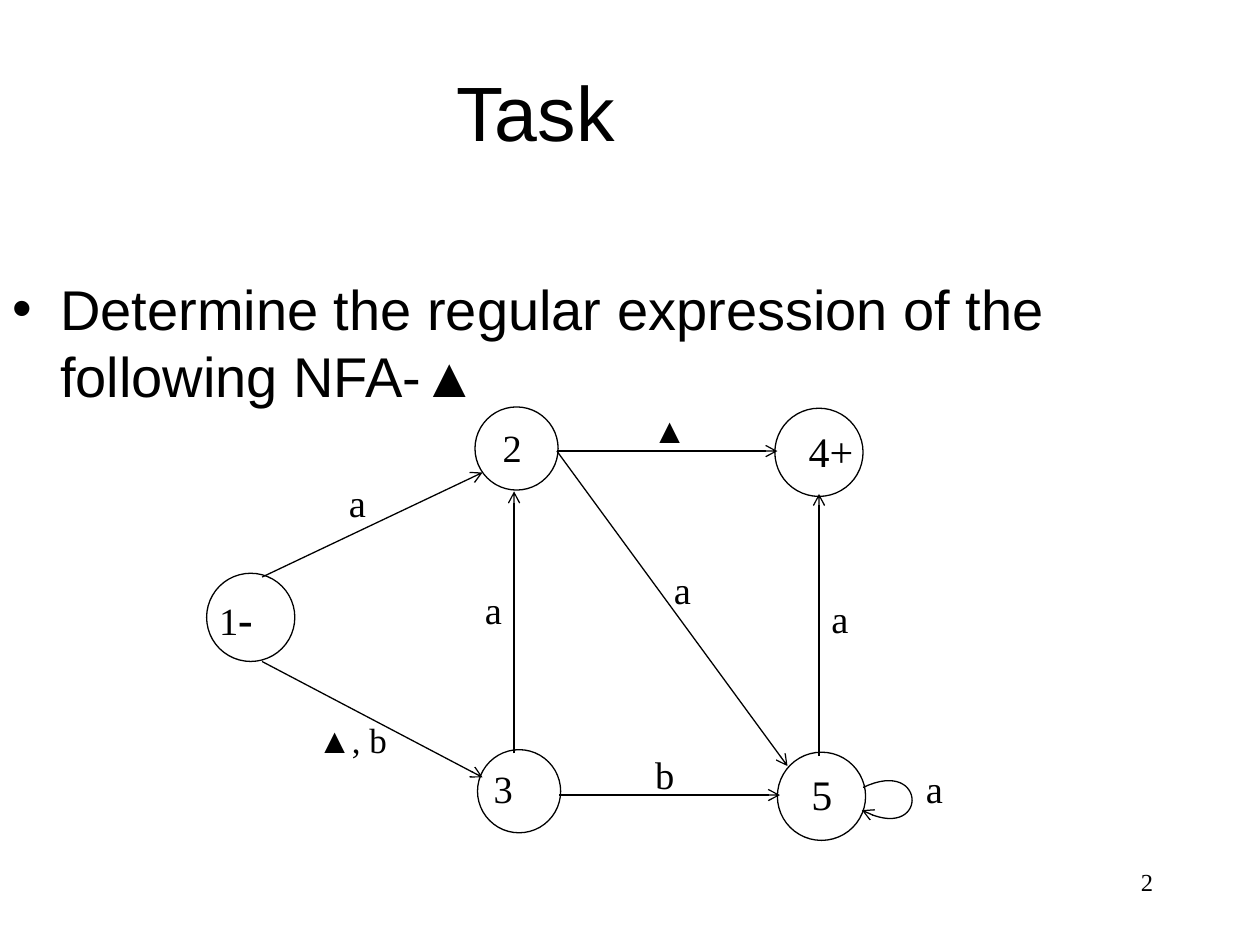
from lxml.etree import SubElement
from pptx import Presentation
from pptx.dml.color import RGBColor
from pptx.enum.shapes import MSO_CONNECTOR as Connector, MSO_SHAPE as Shape
from pptx.enum.text import MSO_ANCHOR as Anchor, PP_ALIGN as Align
from pptx.oxml.ns import qn
from pptx.util import Inches, Pt


def color(value):
    return RGBColor.from_string(value)


def write(frame, runs, align=Align.LEFT):
    frame.word_wrap = True
    paragraph = frame.paragraphs[0]
    paragraph.alignment = align
    for text, formats in runs:
        run = paragraph.add_run()
        run.text = text
        for name, value in formats.items():
            setattr(run.font, name, value)
        run.font.color.rgb = color("000000")
    return paragraph


presentation = Presentation()
presentation.slide_width = Inches(10)
presentation.slide_height = Inches(7.5)
slide = presentation.slides.add_slide(presentation.slide_layouts[5])
shapes = slide.shapes

title = shapes.title
title_box = {"left": 0, "top": 0.25, "width": 8.5, "height": 1.25}
for name, value in title_box.items():
    setattr(title, name, Inches(value))
title.text_frame.vertical_anchor = Anchor.MIDDLE
write(title.text_frame, [("Task", {"name": "Arial", "size": Pt(44)})], Align.CENTER)

body = shapes.add_textbox(0, Inches(2.06), Inches(8.94), Inches(4.56))
body.text_frame.margin_top = Inches(0.12)
paragraph = write(body.text_frame, [
    ("Determine the regular expression of the following NFA-", {"name": "Arial", "size": Pt(32)}),
    ("▲", {"name": "Times New Roman", "size": Pt(32)}),
])
properties = paragraph._p.get_or_add_pPr()
properties.set("marL", str(Inches(0.38)))
properties.set("indent", str(-Inches(0.38)))
SubElement(properties, qn("a:buFont"), typeface="Arial")
SubElement(properties, qn("a:buChar"), char="•")

states = [
    (1.64, 4.55, 0.7),
    (3.77, 3.23, 0.66),
    (3.79, 5.95, 0.66),
    (6.15, 3.24, 0.7),
    (6.17, 5.97, 0.7),
]
for left, top, size in states:
    circle = shapes.add_shape(Shape.OVAL, Inches(left), Inches(top), Inches(size), Inches(size))
    circle.shadow.inherit = False
    circle.fill.solid()
    circle.fill.fore_color.rgb = color("FFFFFF")
    circle.line.color.rgb = color("000000")
    circle.line.width = Pt(0.75)

transitions = [
    (2.08, 4.58, 3.83, 3.75),
    (2.08, 5.25, 3.83, 6.17),
    (4.08, 5.98, 4.08, 3.9),
    (4.42, 3.58, 6.17, 3.58),
    (4.42, 3.58, 6.25, 6.08),
    (4.44, 6.31, 6.19, 6.31),
    (6.5, 6, 6.5, 3.92),
]
arrows = []
for ends in transitions:
    arrow = shapes.add_connector(Connector.STRAIGHT, *[Inches(value) for value in ends])
    SubElement(arrow._element.spPr, qn("a:effectLst"))
    arrows.append(arrow)

loop_controls = [(6.85, 6.25), (7.37, 6), (7.37, 6.71), (6.84, 6.43)]
steps = 32
loop_points = []
for step in range(steps + 1):
    t = step / steps
    weights = [(1 - t) ** 3, 3 * t * (1 - t) ** 2, 3 * t ** 2 * (1 - t), t ** 3]
    loop_points.append(tuple(
        Inches(sum(weight * control[axis] for weight, control in zip(weights, loop_controls)))
        for axis in (0, 1)
    ))
builder = shapes.build_freeform(*loop_points[0])
builder.add_line_segments(loop_points[1:], close=False)
loop = builder.convert_to_shape()
loop.shadow.inherit = False
loop.fill.background()
arrows.append(loop)

for arrow in arrows:
    arrow.line.color.rgb = color("000000")
    arrow.line.width = Pt(0.75)
    SubElement(arrow.line._get_or_add_ln(), qn("a:tailEnd"), type="arrow")

labels = [
    ("1", 1.64, 4.65, 0.83, 22),
    ("2", 3.89, 3.32, 1, 22),
    ("3", 3.82, 6.02, 0.91, 22),
    ("4+", 6.32, 3.33, 0.68, 24),
    ("5", 6.34, 6.05, 0.75, 24),
    ("a", 2.67, 3.75, 0.41, 22),
    ("▲, b", 2.42, 5.65, 0.83, 20),
    ("a", 3.75, 4.6, 0.41, 22),
    ("▲", 5.08, 3.19, 0.41, 20),
    ("a", 5.25, 4.44, 0.41, 22),
    ("b", 5.1, 5.91, 0.41, 22),
    ("a", 6.5, 4.67, 0.41, 22),
    ("a", 7.25, 6.02, 0.41, 22),
    ("2", 7.17, 6.83, 2.08, 14),
]
for text, left, top, width, size in labels:
    label = shapes.add_textbox(Inches(left), Inches(top), Inches(width), Inches(0.4))
    runs = [(text, {"name": "Times New Roman", "size": Pt(size)})]
    if text == "1":
        runs.append(("-", {"name": "Times New Roman", "size": Pt(25), "bold": True}))
    write(label.text_frame, runs, Align.RIGHT if size == 14 else Align.LEFT)

presentation.save("out.pptx")
